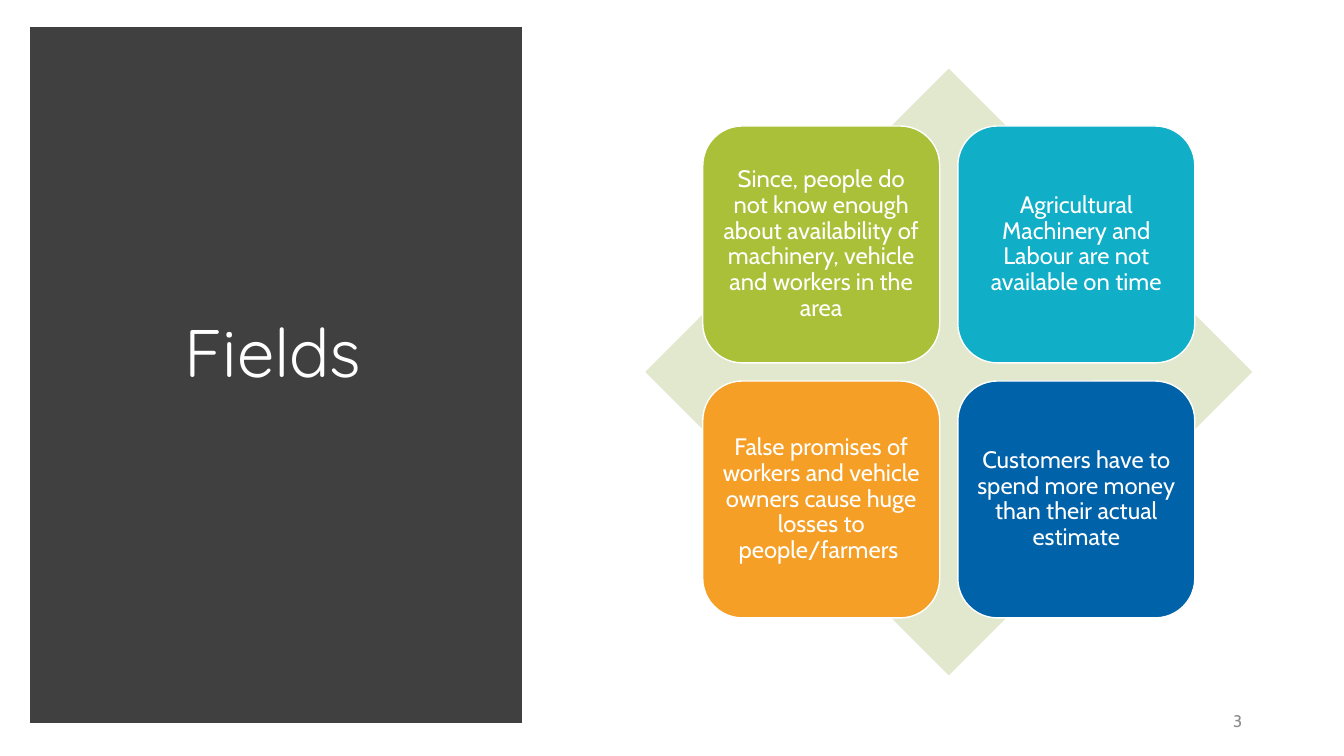
from dataclasses import dataclass

from lxml import etree
from pptx import Presentation
from pptx import util as u
from pptx.dml.color import RGBColor
from pptx.enum import shapes, text
from pptx.oxml import ns


@dataclass(frozen=True)
class Theme:
    panel: str = "404040"
    diamond: str = "E2E8CE"
    white: str = "FFFFFF"
    muted: str = "8C8C8C"
    heading_font: str = "Quicksand"
    body_font: str = "Cabin"
    title_size: int = 48
    card_size: int = 17
    number_size: int = 12


@dataclass(frozen=True)
class Box:
    left: float
    top: float
    width: float
    height: float

    def lengths(self) -> tuple:
        return tuple(u.Inches(n) for n in (self.left, self.top, self.width, self.height))


@dataclass(frozen=True)
class Card:
    column: int
    row: int
    color: str
    words: str


THEME = Theme()
PANEL = Box(0.37, 0.34, 4.74, 6.76)
TITLE = Box(0.81, 0.81, 3.8, 5.43)
DIAMOND = Box(6.4, 0.68, 6.02, 6.02)
NUMBER = Box(9.42, 6.95, 3, 0.4)

# Card grid: two by two, centred on the diamond
CARD_SIDE = 2.35
CARD_PITCH = 2.53
CARD_MARGIN = (DIAMOND.width - CARD_PITCH - CARD_SIDE) / 2
CARDS = (
    Card(0, 0, "A9C038", "Since, people do not know enough about availability of "
                         "machinery, vehicle and workers in the area"),
    Card(1, 0, "11AEC7", "Agricultural Machinery and Labour are not available on time"),
    Card(0, 1, "F59F26", "False promises of workers and vehicle owners cause huge "
                         "losses to people/farmers "),
    Card(1, 1, "0062A9", "Customers have to spend more money than their actual estimate"),
)


def add_block(slide, kind, box: Box, fill: str, line: str = "", line_width: float = 0):
    """Add a flat preset shape with an optional outline."""
    shape = slide.shapes.add_shape(kind, *box.lengths())
    shape.shadow.inherit = False
    shape.fill.solid()
    shape.fill.fore_color.rgb = RGBColor.from_string(fill)
    if line:
        shape.line.color.rgb = RGBColor.from_string(line)
        shape.line.width = u.Pt(line_width)
    else:
        shape.line.fill.background()
    return shape


def write(shape, words: str, font: str, size: float, color: str,
          align=text.PP_ALIGN.CENTER, spacing: float = 0.9) -> None:
    """Fill a shape with one vertically centred paragraph."""
    frame = shape.text_frame
    frame.word_wrap = True
    frame.auto_size = text.MSO_AUTO_SIZE.NONE
    frame.vertical_anchor = text.MSO_ANCHOR.MIDDLE
    frame.text = words
    paragraph = frame.paragraphs[0]
    paragraph.alignment = align
    paragraph.line_spacing = spacing
    paragraph.font.name = font
    paragraph.font.size = u.Pt(size)
    paragraph.font.color.rgb = RGBColor.from_string(color)


def add_card(slide, card: Card) -> None:
    box = Box(DIAMOND.left + CARD_MARGIN + card.column * CARD_PITCH,
              DIAMOND.top + CARD_MARGIN + card.row * CARD_PITCH, CARD_SIDE, CARD_SIDE)
    shape = add_block(slide, shapes.MSO_SHAPE.ROUNDED_RECTANGLE, box, card.color, THEME.white, 1)
    frame = shape.text_frame
    frame.margin_left = frame.margin_right = u.Inches(0.07)
    frame.margin_top = frame.margin_bottom = u.Inches(0.07)
    write(shape, card.words, THEME.body_font, THEME.card_size, THEME.white)


def main() -> None:
    presentation = Presentation()
    presentation.slide_width = u.Inches(13.33)
    presentation.slide_height = u.Inches(7.5)
    slide = presentation.slides.add_slide(presentation.slide_layouts.get_by_name("Title Only"))

    # Dark panel with square corners, kept behind the title
    panel = add_block(slide, shapes.MSO_SHAPE.RECTANGLE, PANEL, THEME.panel, THEME.panel, 10)
    etree.SubElement(panel.line.fill._xPr, ns.qn("a:miter"), lim="800000")
    title = slide.shapes.title
    title.element.addprevious(panel.element)

    # Title
    title.left, title.top, title.width, title.height = TITLE.lengths()
    write(title, "Fields", THEME.heading_font, THEME.title_size, THEME.white)

    # Diamond and the four cards
    add_block(slide, shapes.MSO_SHAPE.DIAMOND, DIAMOND, THEME.diamond)
    for card in CARDS:
        add_card(slide, card)

    # Slide number
    number = slide.shapes.add_textbox(*NUMBER.lengths())
    write(number, "3", THEME.body_font, THEME.number_size, THEME.muted,
          text.PP_ALIGN.RIGHT, 1.0)

    presentation.save("out.pptx")


if __name__ == "__main__":
    main()
